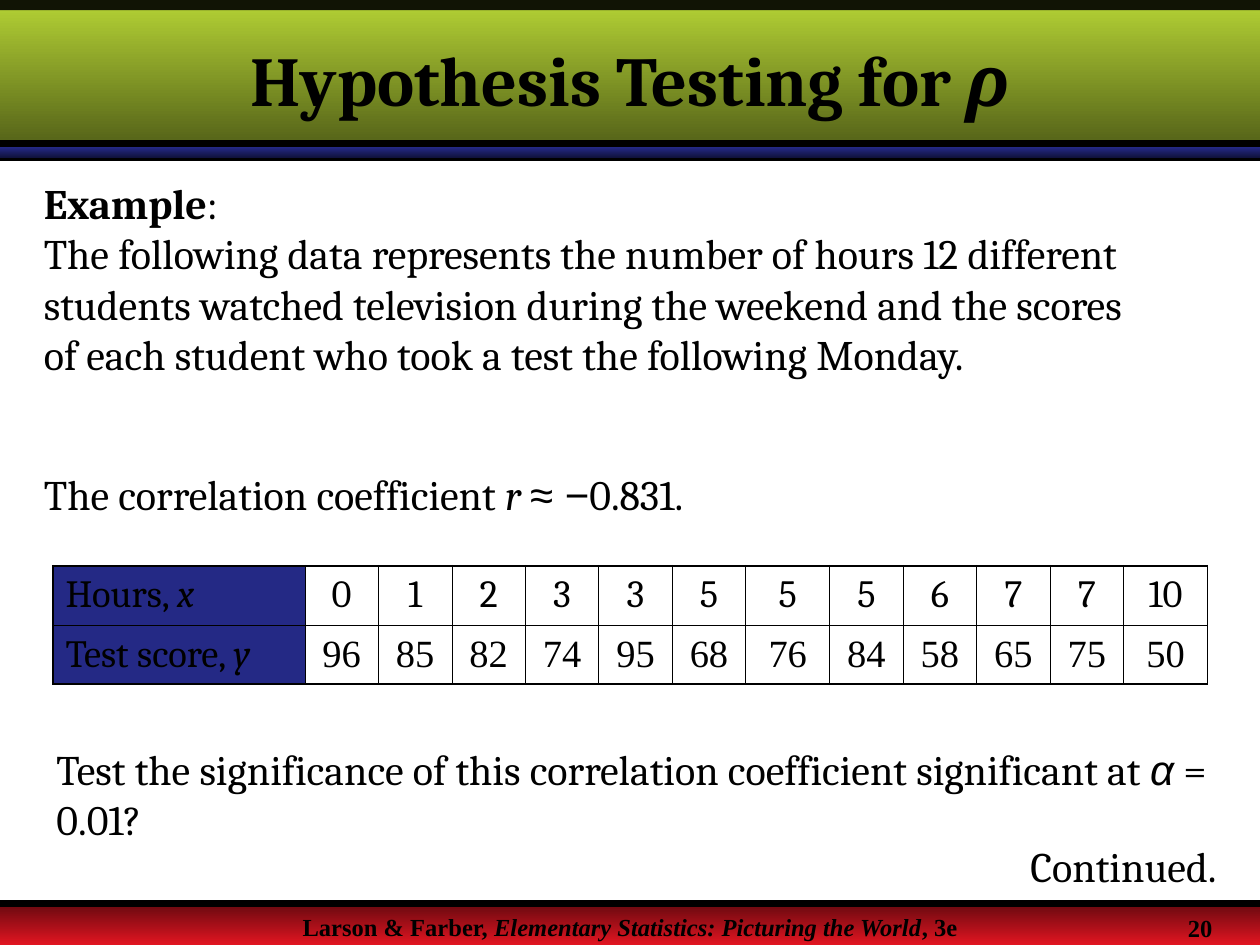
import dataclasses

import pptx
import pptx.dml.color
import pptx.enum.dml
import pptx.enum.shapes
import pptx.enum.text
import pptx.oxml
import pptx.oxml.ns
import pptx.util

Inches = pptx.util.Inches
Pt = pptx.util.Pt
RGB = pptx.dml.color.RGBColor.from_string
LEFT = pptx.enum.text.PP_ALIGN.LEFT
CENTER = pptx.enum.text.PP_ALIGN.CENTER
TOP = pptx.enum.text.MSO_ANCHOR.TOP
MIDDLE = pptx.enum.text.MSO_ANCHOR.MIDDLE


@dataclasses.dataclass(frozen=True)
class Theme:
    black: str = "000000"
    white: str = "FFFFFF"
    navy: str = "242985"
    title_band: tuple = ("B5D335", "536118")
    stripe: tuple = ("242985", "10123D")
    footer_band: tuple = ("67090F", "E11521")
    serif: str = "Cambria"
    sans: str = "Arial"
    footer_serif: str = "Times New Roman"
    title_size: int = 40
    body_size: int = 24
    table_size: int = 22
    footer_size: int = 14
    rule_width: float = 4
    outer_border: float = 1.08
    inner_border: float = 0.45


class SlideBuilder:
    def __init__(self, slide, theme):
        self.slide = slide
        self.theme = theme

    def set_opacity(self, fill, percent):
        color = fill._xPr.find(".//" + pptx.oxml.ns.qn("a:srgbClr"))
        color.append(pptx.oxml.parse_xml(
            f'<a:alpha {pptx.oxml.ns.nsdecls("a")} val="{percent * 1000}"/>'))

    def paint(self, fill, color, opacity=100):
        fill.solid()
        fill.fore_color.rgb = RGB(color)
        if opacity < 100:
            self.set_opacity(fill, opacity)

    def band(self, top, height, colors, opacity=100):
        """Draw a full-width bar, with a downward gradient if given two colours."""
        shape = self.slide.shapes.add_shape(
            pptx.enum.shapes.MSO_SHAPE.RECTANGLE,
            0, Inches(top), Inches(10), Inches(height))
        shape.shadow.inherit = False
        shape.line.fill.background()
        if isinstance(colors, str):
            self.paint(shape.fill, colors, opacity)
            return
        shape.fill.gradient()
        shape.fill.gradient_angle = 270
        for stop, color in zip(shape.fill.gradient_stops, colors):
            stop.color.rgb = RGB(color)

    def rule(self, top):
        line = self.slide.shapes.add_connector(
            pptx.enum.shapes.MSO_CONNECTOR.STRAIGHT,
            0, Inches(top), Inches(10), Inches(top))
        line.line.color.rgb = RGB(self.theme.black)
        line.line.width = Pt(self.theme.rule_width)
        line._element.spPr.append(pptx.oxml.parse_xml(
            f'<a:effectLst {pptx.oxml.ns.nsdecls("a")}/>'))

    def add_runs(self, paragraph, runs, style, align=LEFT):
        """Add (text, format changes) runs on top of a base style."""
        paragraph.alignment = align
        for text, changes in runs:
            run = paragraph.add_run()
            run.text = text
            for name, value in {**style, **changes}.items():
                setattr(run.font, name, value)
            run.font.color.rgb = RGB(self.theme.black)

    def text(self, box, paragraphs, style, align=LEFT, anchor=TOP):
        frame = self.slide.shapes.add_textbox(*map(Inches, box)).text_frame
        frame.word_wrap = True
        frame.vertical_anchor = anchor
        for index, runs in enumerate(paragraphs):
            paragraph = frame.add_paragraph() if index else frame.paragraphs[0]
            self.add_runs(paragraph, runs, style, align)

    def border(self, cell, side, width):
        cell._tc.get_or_add_tcPr().append(pptx.oxml.parse_xml(
            f'<a:ln{side} {pptx.oxml.ns.nsdecls("a")} w="{int(Pt(width))}">'
            f'<a:solidFill><a:srgbClr val="{self.theme.black}"/></a:solidFill>'
            f'</a:ln{side}>'))

    def table(self, box, widths, rows):
        """Draw rows of (heading runs, values, value font)."""
        theme = self.theme
        table = self.slide.shapes.add_table(
            len(rows), len(widths), *map(Inches, box)).table
        table.first_row = table.horz_banding = False
        for column, width in zip(table.columns, widths):
            column.width = Inches(width)
        last_row, last_column = len(rows) - 1, len(widths) - 1
        for r, (heading, values, font) in enumerate(rows):
            contents = [heading] + [[(str(v), {"name": font})] for v in values]
            for c, runs in enumerate(contents):
                cell = table.cell(r, c)
                cell.vertical_anchor = MIDDLE
                outer = {"L": c == 0, "R": c == last_column,
                         "T": r == 0, "B": r == last_row}
                for side, is_outer in outer.items():
                    self.border(cell, side, theme.outer_border if is_outer
                                else theme.inner_border)
                if c == 0:
                    self.paint(cell.fill, theme.navy, 50)
                else:
                    self.paint(cell.fill, theme.white)
                self.add_runs(cell.text_frame.paragraphs[0], runs,
                              {"name": theme.serif,
                               "size": Pt(theme.table_size)},
                              CENTER if c else LEFT)


def main():
    presentation = pptx.Presentation()
    presentation.slide_width = Inches(10)
    presentation.slide_height = Inches(7.5)
    theme = Theme()
    slide = presentation.slides.add_slide(presentation.slide_layouts[6])
    builder = SlideBuilder(slide, theme)

    title = {"name": theme.serif, "size": Pt(theme.title_size), "bold": True}
    body = {"name": theme.serif, "size": Pt(theme.body_size)}
    footer = {"name": theme.footer_serif, "size": Pt(theme.footer_size),
              "bold": True}
    italic = {"italic": True}

    builder.band(7.17, 0.33, theme.footer_band)
    builder.rule(1.25)
    builder.text((0, 7.19, 10, 0.2), [[
        ("Larson & Farber, ", {}),
        ("Elementary Statistics: Picturing the World", italic),
        (", 3e", {})]], footer, CENTER)
    builder.band(1.17, 0.08, theme.stripe)
    builder.band(0, 1.17, theme.title_band)
    builder.rule(7.17)
    builder.band(0, 0.08, theme.black, 90)
    builder.rule(1.14)
    builder.text((9.33, 7.2, 0.65, 0.3), [[("20", {})]], footer)

    builder.text((0, 0.08, 10, 1.08),
                 [[("Hypothesis Testing for ", {}), ("ρ", italic)]],
                 title, CENTER, MIDDLE)

    narrow, wide = 7 / 12, 8 / 12
    widths = [2] + [narrow] * 6 + [wide] + [narrow] * 4 + [wide]
    hours = [0, 1, 2, 3, 3, 5, 5, 5, 6, 7, 7, 10]
    scores = [96, 85, 82, 74, 95, 68, 76, 84, 58, 65, 75, 50]
    builder.table((0.42, 4.49, sum(widths), 0.94), widths, [
        ([("Hours, ", {}), ("x", italic)], hours, theme.serif),
        ([("Test score, ", {}), ("y", italic)], scores, theme.footer_serif)])

    builder.text((0.25, 1.36, 9, 2.1), [
        [("Example", {"bold": True}), (":", {})],
        [("The following data represents the number of hours 12 different "
          "students watched television during the weekend and the scores of "
          "each student who took a test the following Monday.", {})]], body)
    builder.text((8.08, 6.62, 1.9, 0.5), [[("Continued.", {})]], body)
    builder.text((0.25, 3.67, 5.91, 0.5), [[
        ("The correlation coefficient ", {}), ("r ", italic),
        ("≈ −", {"name": theme.sans}), ("0.831.", {})]], body)
    builder.text((0.35, 5.85, 9.33, 0.9), [[
        ("Test the significance of this correlation coefficient significant "
         "at ", {}),
        ("α", {"name": theme.sans, "italic": True}), (" = 0.01?", {})]], body)

    presentation.save("out.pptx")


if __name__ == "__main__":
    main()
